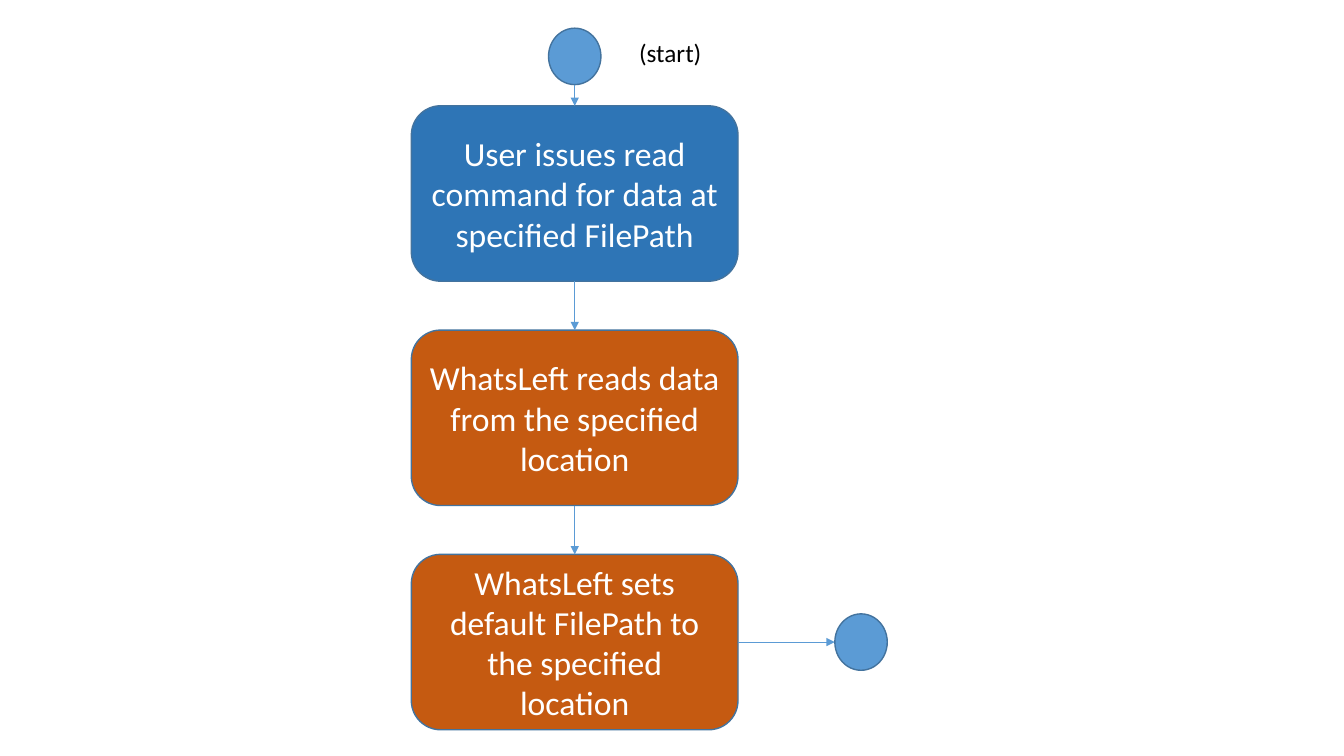
from pptx import Presentation
from pptx.dml.color import RGBColor
from pptx.enum.shapes import MSO_CONNECTOR, MSO_SHAPE
from pptx.enum.text import MSO_ANCHOR, MSO_AUTO_SIZE, PP_ALIGN
from pptx.oxml.ns import qn
from pptx.util import Inches, Pt
from lxml.etree import SubElement

HUES = {"dot": "5B9BD5", "edge": "43739E", "user": "2E75B6",
        "app": "C55A11", "light": "FFFFFF", "dark": "000000"}
STEPS = [
    ("User issues read command for data at specified FilePath", "user"),
    ("WhatsLeft reads data from the specified location", "app"),
    ("WhatsLeft sets default FilePath to the specified location", "app"),
]
MID = 5.7
TOP, PITCH = 1.05, 4.45 / 2
WIDE, HIGH = 3.24, 1.74
DOT_W, DOT_H = 0.52, 0.56


class Flow:
    """Draws flowchart parts on one slide in a shared style."""

    def __init__(self, slide, font="Calibri"):
        self.shapes = slide.shapes
        self.font = font

    def hue(self, name):
        return RGBColor.from_string(HUES[name])

    def text(self, frame, words, size, hue, align):
        frame.word_wrap = True
        para = frame.paragraphs[0]
        para.alignment = align
        run = para.add_run()
        run.text = words
        run.font.name = self.font
        run.font.size = Pt(size)
        run.font.color.rgb = self.hue(hue)

    def shape(self, kind, left, top, wide, high, fill):
        item = self.shapes.add_shape(
            kind, Inches(left), Inches(top), Inches(wide), Inches(high))
        item.shadow.inherit = False
        item.fill.solid()
        item.fill.fore_color.rgb = self.hue(fill)
        item.line.color.rgb = self.hue("edge")
        item.line.width = Pt(1)
        return item

    def dot(self, left, top):
        self.shape(MSO_SHAPE.FLOWCHART_CONNECTOR, left, top, DOT_W, DOT_H, "dot")

    def step(self, top, words, fill):
        box = self.shape(MSO_SHAPE.ROUNDED_RECTANGLE, MID - WIDE / 2, top,
                         WIDE, HIGH, fill)
        box.text_frame.vertical_anchor = MSO_ANCHOR.MIDDLE
        self.text(box.text_frame, words, 24, "light", PP_ALIGN.CENTER)

    def arrow(self, x1, y1, x2, y2):
        link = self.shapes.add_connector(
            MSO_CONNECTOR.STRAIGHT, Inches(x1), Inches(y1), Inches(x2), Inches(y2))
        link.line.color.rgb = self.hue("dot")
        link.line.width = Pt(0.5)
        props = link._element.spPr
        SubElement(props.find(qn("a:ln")), qn("a:tailEnd"), type="triangle")
        SubElement(props, qn("a:effectLst"))

    def label(self, left, top, wide, high, words):
        box = self.shapes.add_textbox(
            Inches(left), Inches(top), Inches(wide), Inches(high))
        box.text_frame.auto_size = MSO_AUTO_SIZE.SHAPE_TO_FIT_TEXT
        self.text(box.text_frame, words, 18, "dark", PP_ALIGN.LEFT)


def main():
    deck = Presentation()
    deck.slide_width, deck.slide_height = Inches(13.33), Inches(7.5)
    flow = Flow(deck.slides.add_slide(deck.slide_layouts[6]))

    start, end = 0.28, 8.28
    flow.dot(MID - DOT_W / 2, start)
    flow.label(6.24, 0.32, 1.27, 0.4, "(start)")

    foot = start + DOT_H
    for row, (words, fill) in enumerate(STEPS):
        top = TOP + row * PITCH
        flow.step(top, words, fill)
        flow.arrow(MID, foot, MID, top)
        foot = top + HIGH

    level = foot - HIGH / 2
    flow.arrow(MID + WIDE / 2, level, end, level)
    flow.dot(end, level - DOT_H / 2)
    deck.save("out.pptx")


if __name__ == "__main__":
    main()
